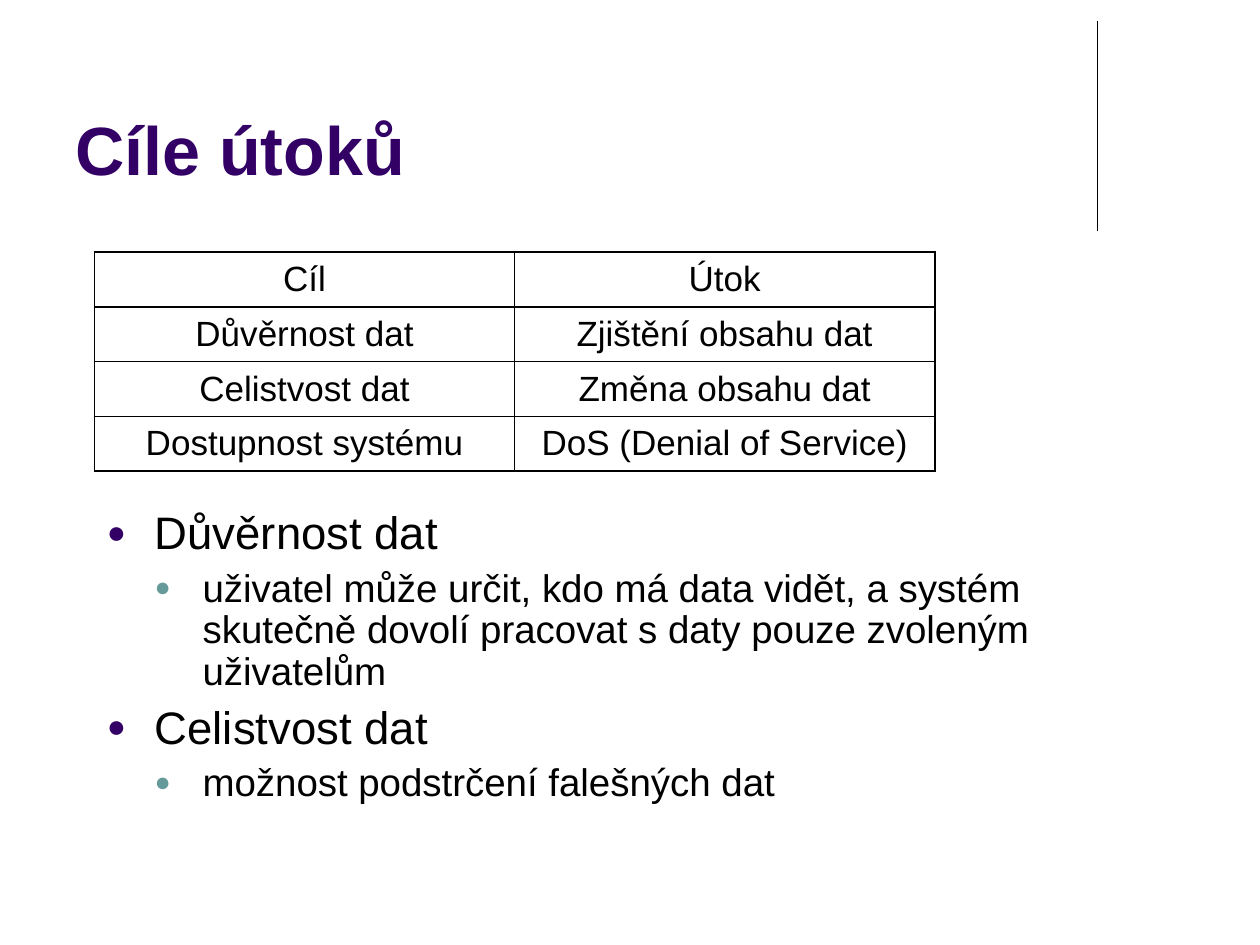
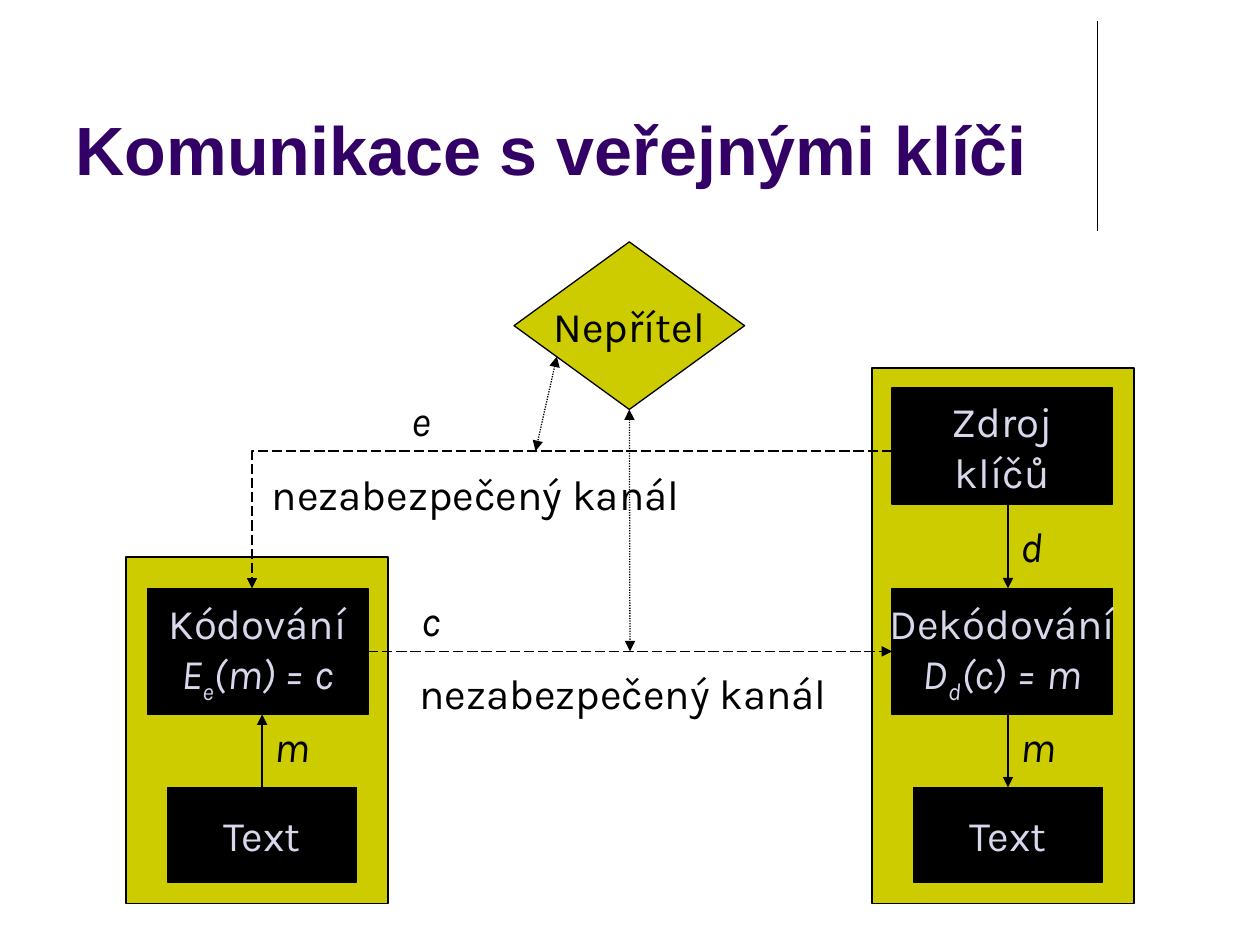
from lxml import etree
from pptx import Presentation
from pptx.dml.color import RGBColor
from pptx.enum.dml import MSO_LINE
from pptx.enum.shapes import MSO_CONNECTOR, MSO_SHAPE
from pptx.enum.text import MSO_ANCHOR, PP_ALIGN
from pptx.oxml.ns import qn
from pptx.util import Inches, Pt

# Shared look
PURPLE = RGBColor(0x33, 0x00, 0x66)
TEAL = RGBColor(0x66, 0x99, 0x99)
OLIVE = RGBColor(0xCC, 0xCC, 0x00)
LAVENDER = RGBColor(0xD8, 0xD8, 0xEC)
BLACK = RGBColor(0x00, 0x00, 0x00)
TEXT_FONT = "Arial"
DIAGRAM_FONT = "Karla"
LINE_WIDTH = Pt(0.75)
OUTER_BORDER, INNER_BORDER = Pt(1.08), Pt(0.45)
TOP, LEFT, BOTTOM, RIGHT = 0, 1, 2, 3

# Bullet levels: text size, space before, indent, bullet colour
LEVELS = [(26, 6.5, 0.38, PURPLE), (22, 5.5, 0.76, TEAL)]

GOALS = [
    ("Cíl", "Útok"),
    ("Důvěrnost dat", "Zjištění obsahu dat"),
    ("Celistvost dat", "Změna obsahu dat"),
    ("Dostupnost systému", "DoS (Denial of Service)"),
]
EXPLANATIONS = [
    (0, "Důvěrnost dat"),
    (1, "uživatel může určit, kdo má data vidět, a systém skutečně dovolí "
        "pracovat s daty pouze zvoleným uživatelům"),
    (0, "Celistvost dat"),
    (1, "možnost podstrčení falešných dat"),
]


def add_xml(parent, tag, **attributes):
    return etree.SubElement(parent, qn(tag), attributes)


def style_runs(paragraph, size, font, color, bold=None, italic=None):
    for run in paragraph.runs:
        run.font.size = Pt(size)
        run.font.name = font
        run.font.color.rgb = color
        run.font.bold = bold
        run.font.italic = italic


def add_text_box(slide, left, top, width, height, wrap=True):
    box = slide.shapes.add_textbox(
        Inches(left), Inches(top), Inches(width), Inches(height))
    box.text_frame.word_wrap = wrap
    return box.text_frame


def style_line(line, dash=None, head=False, tail=False):
    line.color.rgb = BLACK
    line.width = LINE_WIDTH
    if dash:
        line.dash_style = dash
    properties = line._get_or_add_ln()
    if head:
        add_xml(properties, "a:headEnd", type="triangle")
    if tail:
        add_xml(properties, "a:tailEnd", type="triangle")


def add_line(slide, start, end, dash=None, head=False, tail=False,
             begin_at=None, end_at=None):
    """Draw a line; begin_at and end_at are (shape, side) pairs to join."""
    connector = slide.shapes.add_connector(
        MSO_CONNECTOR.STRAIGHT, *(Inches(value) for value in start + end))
    if begin_at:
        connector.begin_connect(*begin_at)
    if end_at:
        connector.end_connect(*end_at)
    style_line(connector.line, dash, head, tail)
    add_xml(connector._element.spPr, "a:effectLst")
    return connector


def add_titled_slide(presentation, title):
    slide = presentation.slides.add_slide(presentation.slide_layouts[6])
    frame = add_text_box(slide, 0.5, 0.13, 8.25, 1.42)
    frame.vertical_anchor = MSO_ANCHOR.BOTTOM
    frame.text = title
    style_runs(frame.paragraphs[0], 39, TEXT_FONT, PURPLE, bold=True)
    add_line(slide, (8.71, 0.17), (8.71, 1.83))
    return slide


# Table and bullets
def set_borders(cell, widths):
    properties = cell._tc.get_or_add_tcPr()
    for position, (side, width) in enumerate(widths.items()):
        border = etree.Element(qn(f"a:ln{side}"), w=str(int(width)))
        fill = add_xml(border, "a:solidFill")
        add_xml(fill, "a:srgbClr", val=str(BLACK))
        properties.insert(position, border)


def add_goal_table(slide, rows):
    last_row, last_column = len(rows) - 1, len(rows[0]) - 1
    table = slide.shapes.add_table(
        len(rows), len(rows[0]), Inches(0.75), Inches(2),
        Inches(6.67), Inches(1.74)).table
    table.first_row = table.horz_banding = False
    for row, texts in enumerate(rows):
        for column, text in enumerate(texts):
            cell = table.cell(row, column)
            cell.fill.background()
            cell.vertical_anchor = MSO_ANCHOR.MIDDLE
            cell.text = text
            paragraph = cell.text_frame.paragraphs[0]
            paragraph.alignment = PP_ALIGN.CENTER
            paragraph.space_before = Pt(5)
            style_runs(paragraph, 20, TEXT_FONT, BLACK)
            heavy = {"L": column == 0, "R": column == last_column,
                     "T": row <= 1, "B": row in (0, last_row)}
            set_borders(cell, {side: OUTER_BORDER if is_heavy else INNER_BORDER
                               for side, is_heavy in heavy.items()})


def add_bullets(slide, items):
    frame = add_text_box(slide, 0.75, 4, 8.5, 2.83)
    frame.text = "\n".join(text for _, text in items)
    for paragraph, (level, _) in zip(frame.paragraphs, items):
        size, space, indent, color = LEVELS[level]
        paragraph.level = level
        paragraph.line_spacing = 0.9
        paragraph.space_before = Pt(space)
        style_runs(paragraph, size, TEXT_FONT, BLACK)
        properties = paragraph._p.get_or_add_pPr()
        properties.set("marL", str(Inches(indent)))
        properties.set("indent", str(-Inches(0.38)))
        bullet_color = add_xml(properties, "a:buClr")
        add_xml(bullet_color, "a:srgbClr", val=str(color))
        add_xml(properties, "a:buSzPct", val="70000")
        add_xml(properties, "a:buFont", typeface=TEXT_FONT)
        add_xml(properties, "a:buChar", char="●")


# Diagram parts
def add_block(slide, left, top, width, height, text="", fill=BLACK,
              color=LAVENDER, kind=MSO_SHAPE.RECTANGLE, formula=None):
    """Add a filled block; formula is (function, key, rest), key lowered."""
    block = slide.shapes.add_shape(
        kind, Inches(left), Inches(top), Inches(width), Inches(height))
    block.shadow.inherit = False
    block.fill.solid()
    block.fill.fore_color.rgb = fill
    style_line(block.line)
    if not text:
        return block
    frame = block.text_frame
    frame.word_wrap = False
    frame.vertical_anchor = MSO_ANCHOR.MIDDLE
    paragraph = frame.paragraphs[0]
    paragraph.text = text
    paragraph.alignment = PP_ALIGN.CENTER
    if formula:
        paragraph.add_line_break()
        for part in formula:
            paragraph.add_run().text = part
    style_runs(paragraph, 24, DIAGRAM_FONT, color)
    if formula:
        for run in paragraph.runs[1:]:
            run.font.italic = True
        paragraph.runs[2].font._element.set("baseline", "-25000")
    return block


def add_label(slide, left, top, width, text, italic=True, wrap=True):
    frame = add_text_box(slide, left, top, width, 0.5, wrap)
    frame.text = text
    style_runs(frame.paragraphs[0], 24, DIAGRAM_FONT, BLACK, italic=italic)


def add_elbow_arrow(slide, points):
    start, *others = [(Inches(x), Inches(y)) for x, y in points]
    builder = slide.shapes.build_freeform(*start)
    builder.add_line_segments(others, close=False)
    arrow = builder.convert_to_shape()
    arrow.shadow.inherit = False
    arrow.fill.background()
    style_line(arrow.line, MSO_LINE.LONG_DASH, tail=True)


def build_goals_slide(presentation):
    slide = add_titled_slide(presentation, "Cíle útoků")
    add_goal_table(slide, GOALS)
    add_bullets(slide, EXPLANATIONS)


def build_public_key_slide(presentation):
    slide = add_titled_slide(presentation, "Komunikace s veřejnými klíči")

    # Sender and receiver panels, and the enemy between them
    add_block(slide, 1, 4.42, 2.08, 2.75, fill=OLIVE)
    add_block(slide, 6.92, 2.92, 2.08, 4.25, fill=OLIVE)
    enemy = add_block(slide, 4.08, 1.92, 1.83, 1.33, "Nepřítel", OLIVE, BLACK,
                      MSO_SHAPE.DIAMOND)

    # Blocks inside the panels
    plain_text = add_block(slide, 1.33, 6.25, 1.5, 0.75, "Text")
    encoding = add_block(slide, 1.17, 4.67, 1.75, 1, "Kódování",
                         formula=("E", "e", "(m) = c"))
    decoded_text = add_block(slide, 7.25, 6.25, 1.5, 0.75, "Text")
    decoding = add_block(slide, 7.08, 4.67, 1.75, 1, "Dekódování",
                         formula=("D", "d", "(c) = m"))
    add_block(slide, 7.08, 3.08, 1.75, 0.92, "Zdroj\vklíčů")

    # Arrows inside the panels
    add_line(slide, (2.08, 6.25), (2.08, 5.67), tail=True,
             begin_at=(plain_text, TOP))
    add_line(slide, (8, 5.67), (8, 6.25), tail=True,
             end_at=(decoded_text, TOP))
    add_line(slide, (8, 4), (8, 4.67), tail=True)

    # Insecure channels
    add_line(slide, (2.92, 5.17), (7.08, 5.17), MSO_LINE.LONG_DASH, tail=True,
             begin_at=(encoding, RIGHT), end_at=(decoding, LEFT))
    add_elbow_arrow(slide, [(7.08, 3.58), (2, 3.58), (2, 4.67)])

    # Taps by the enemy
    add_line(slide, (5, 3.25), (5, 5.17), MSO_LINE.ROUND_DOT, head=True,
             tail=True, begin_at=(enemy, BOTTOM))
    add_line(slide, (4.42, 2.83), (4.25, 3.58), MSO_LINE.ROUND_DOT, head=True,
             tail=True)

    # Labels
    for left, top, width, letter in [(2.08, 5.67, 0.48, "m"),
                                     (8, 5.67, 0.58, "m"),
                                     (8, 4.08, 0.48, "d"),
                                     (3.17, 3.08, 0.48, "e")]:
        add_label(slide, left, top, width, letter)
    add_label(slide, 3.25, 4.67, 0.35, "c", wrap=False)
    for left, top in [(3.23, 5.25), (2.06, 3.67)]:
        add_label(slide, left, top, 3.53, "nezabezpečený kanál",
                  italic=False, wrap=False)


def main():
    presentation = Presentation()
    presentation.slide_width = Inches(10)
    presentation.slide_height = Inches(7.5)
    build_goals_slide(presentation)
    build_public_key_slide(presentation)
    presentation.save("out.pptx")


if __name__ == "__main__":
    main()
